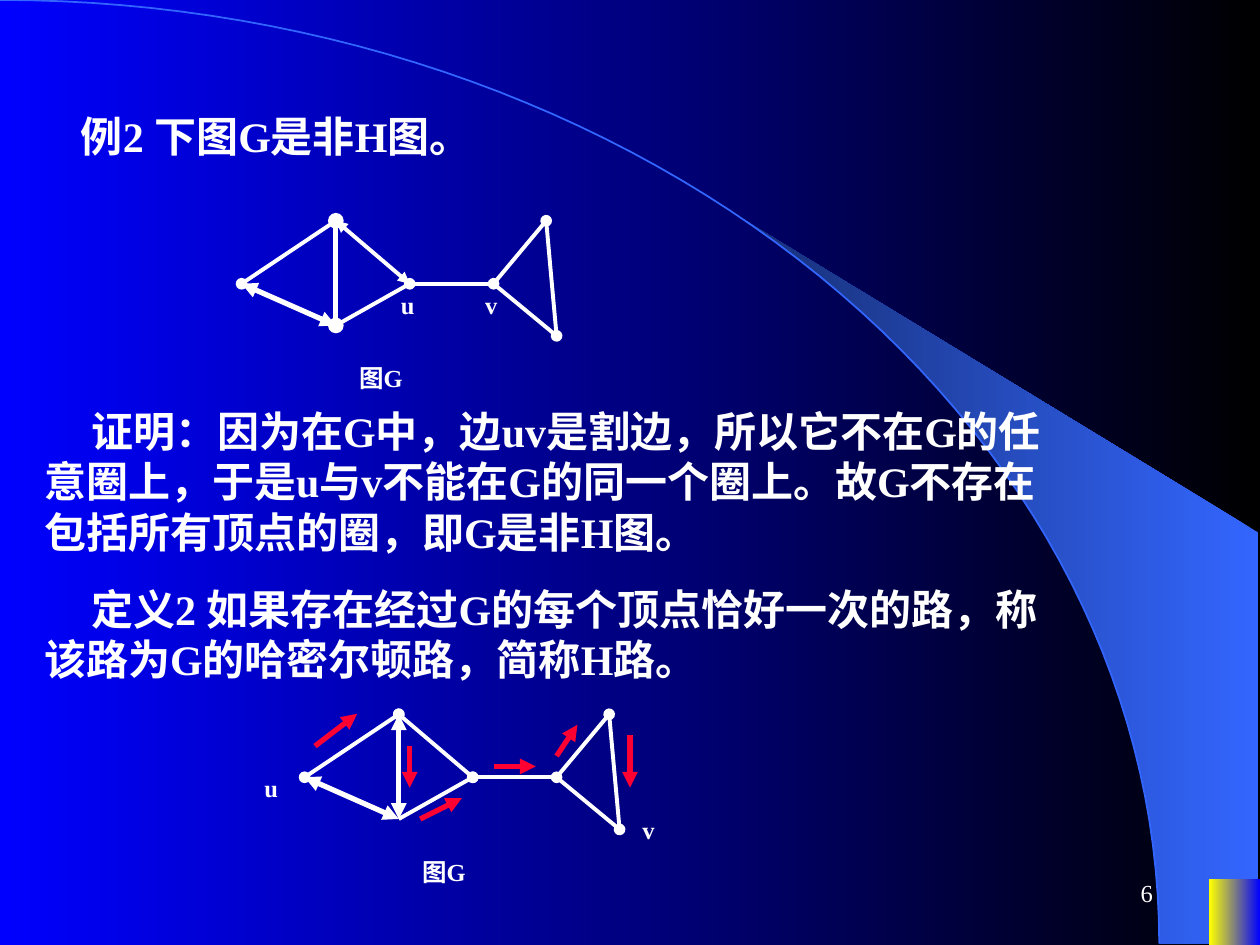
from dataclasses import dataclass
from math import cos, radians, sin

from lxml.etree import SubElement
from pptx import Presentation
from pptx.dml.color import RGBColor as Rgb
from pptx.enum.shapes import MSO_CONNECTOR as Connector, MSO_SHAPE as Shape
from pptx.enum.text import MSO_ANCHOR as Anchor, MSO_AUTO_SIZE as AutoSize, PP_ALIGN as Align
from pptx.oxml.ns import qn
from pptx.util import Cm, Pt


@dataclass(frozen=True)
class Theme:
    """Colours, font and sizes of the slide."""
    white: str = "FFFFFF"
    black: str = "000000"
    blue: str = "0000FF"
    sky: str = "3366FF"
    navy: str = "172F75"
    yellow: str = "FFFF00"
    red: str = "FF0033"
    font: str = "Times New Roman"
    body: int = 24
    label: int = 14
    thin: float = 2.25
    thick: float = 3


THEME = Theme()
ARC_WIDTH, ARC_HEIGHT = 23.37, 19.02
INDENT = Cm(0.95)
GRAPH_SHIFT = (1.27, 9.95)

VERTICES = {
    "left": (4.87, 5.72), "top": (6.77, 4.45), "bottom": (6.77, 6.56),
    "u": (8.26, 5.72), "v": (9.95, 5.72),
    "upper": (11.01, 4.45), "lower": (11.22, 6.77),
}

PARAGRAPHS = [
    (0.43, 2.11, 1.27, "例2 下图G是非H图。"),
    (0.64, 8.05, 3.3, "证明：因为在G中，边uv是割边，所以它不在G的任意圈上，"
                      "于是u与v不能在G的同一个圈上。故G不存在包括所有顶点的圈，即G是非H图。"),
    (0.64, 11.63, 2.29, "定义2 如果存在经过G的每个顶点恰好一次的路，称该路为G的哈密尔顿路，简称H路。"),
]

ROUTE = [
    ((6.35, 15.04), (7.2, 14.39)), ((8.26, 15.04), (8.26, 15.88)),
    ((8.47, 16.51), (9.31, 16.09)), ((9.95, 15.45), (10.8, 15.45)),
    ((11.22, 15.24), (11.64, 14.61)), ((12.7, 14.82), (12.7, 15.88)),
]


def shade(fill, right, left):
    """Fill with a gradient that runs from the right colour to the left one."""
    fill.gradient()
    fill.gradient_angle = 180
    for stop, colour in zip(fill.gradient_stops, (right, left)):
        stop.color.rgb = Rgb.from_string(colour)


def arc_points(start):
    """Return the quarter ellipse from a start angle, in degrees, to its foot."""
    steps = 60
    angles = [radians(start + (90 - start) * i / steps) for i in range(steps + 1)]
    return [(ARC_WIDTH * sin(a), ARC_HEIGHT * (1 - cos(a))) for a in angles]


def add_outline(slide, points, close):
    """Draw a freeform through points given in centimetres."""
    first, *rest = [(Cm(x), Cm(y)) for x, y in points]
    builder = slide.shapes.build_freeform(*first)
    builder.add_line_segments(rest, close=close)
    outline = builder.convert_to_shape()
    outline.shadow.inherit = False
    return outline


def add_backdrop(slide):
    """Draw the background, the sweeping band, its arc and the corner block."""
    shade(slide.background.fill, THEME.black, THEME.blue)
    corners = [(25.37, ARC_HEIGHT), (25.37, 10.74)]
    band = add_outline(slide, arc_points(39.8) + corners, True)
    shade(band.fill, THEME.sky, THEME.navy)
    band.line.fill.background()

    arc = add_outline(slide, arc_points(0), False)
    arc.fill.background()
    arc.line.color.rgb = Rgb.from_string(THEME.sky)
    arc.line.width = Pt(1)

    corner = slide.shapes.add_shape(Shape.RECTANGLE, Cm(24.38), Cm(17.73), Cm(1.02), Cm(1.32))
    corner.shadow.inherit = False
    shade(corner.fill, THEME.blue, THEME.yellow)
    corner.line.fill.background()


def add_text(shapes, text, left, top, width, height, size, bold=True):
    """Add a wrapped white text box and return its frame."""
    frame = shapes.add_textbox(Cm(left), Cm(top), Cm(width), Cm(height)).text_frame
    frame.word_wrap = True
    frame.text = text
    font = frame.paragraphs[0].runs[0].font
    font.name, font.size, font.bold = THEME.font, Pt(size), bold
    font.color.rgb = Rgb.from_string(THEME.white)
    return frame


def add_paragraph(slide, left, top, height, text):
    """Add a body paragraph with an indented first line."""
    frame = add_text(slide.shapes, text, left, top, 20.96, height, THEME.body)
    frame.auto_size = AutoSize.SHAPE_TO_FIT_TEXT
    properties = frame.paragraphs[0]._p.get_or_add_pPr()
    properties.set("marL", "0")
    properties.set("indent", str(INDENT))


def add_label(shapes, text, left, top, width=1.52):
    """Add a small label beside a graph."""
    frame = add_text(shapes, text, left, top, width, 0.86, THEME.label)
    frame.auto_size = AutoSize.SHAPE_TO_FIT_TEXT


def add_line(shapes, start, end, colour, width, head=None, tail=None):
    """Draw a straight line with optional end marks."""
    edge = shapes.add_connector(Connector.STRAIGHT, *(Cm(n) for n in (*start, *end)))
    edge.line.color.rgb = Rgb.from_string(colour)
    edge.line.width = Pt(width)
    outline = edge.line._get_or_add_ln()
    for tag, mark in (("a:headEnd", head), ("a:tailEnd", tail)):
        if mark:
            SubElement(outline, qn(tag)).set("type", mark)
    SubElement(edge._element.spPr, qn("a:effectLst"))


def add_graph(slide, shift, spine_mark, slope_mark, u_at, v_at):
    """Draw graph G as a group, moved by shift, and return the group's shapes."""
    shapes = slide.shapes.add_group_shape().shapes
    dx, dy = shift
    places = {name: (x + dx, y + dy) for name, (x, y) in VERTICES.items()}
    edges = [
        ("top", "left", THEME.thin, "oval"),
        ("left", "bottom", THEME.thick, "triangle"),
        ("top", "bottom", THEME.thick, spine_mark),
        ("top", "u", THEME.thin, slope_mark),
        ("bottom", "u", THEME.thin, None),
        ("u", "v", THEME.thin, "oval"),
        ("upper", "v", THEME.thin, None),
        ("v", "lower", THEME.thin, None),
        ("upper", "lower", THEME.thin, "oval"),
    ]
    for start, end, width, mark in edges:
        add_line(shapes, places[start], places[end], THEME.white, width, mark, mark)
    add_label(shapes, "图G", 6.99 + dx, 7.2 + dy, 2.36)
    add_label(shapes, "u", *u_at)
    add_label(shapes, "v", *v_at)
    return shapes


def add_page_number(slide):
    """Add the page number at the lower right."""
    frame = add_text(slide.shapes, "6", 18.2, 17.36, 5.29, 1.27, THEME.label, bold=False)
    frame.vertical_anchor = Anchor.MIDDLE
    frame.paragraphs[0].alignment = Align.RIGHT


def main():
    """Build and save the slide."""
    deck = Presentation()
    deck.slide_width, deck.slide_height = Cm(25.4), Cm(19.05)
    slide = deck.slides.add_slide(deck.slide_layouts[6])
    add_backdrop(slide)
    for paragraph in PARAGRAPHS:
        add_paragraph(slide, *paragraph)
    add_graph(slide, (0, 0), "oval", "triangle", (7.83, 5.72), (9.53, 5.72))
    path_graph = add_graph(slide, GRAPH_SHIFT, "triangle", "oval", (5.08, 15.45), (12.7, 16.3))
    for start, end in ROUTE:
        add_line(path_graph, start, end, THEME.red, THEME.thick, tail="triangle")
    add_page_number(slide)
    deck.save("out.pptx")


if __name__ == "__main__":
    main()
